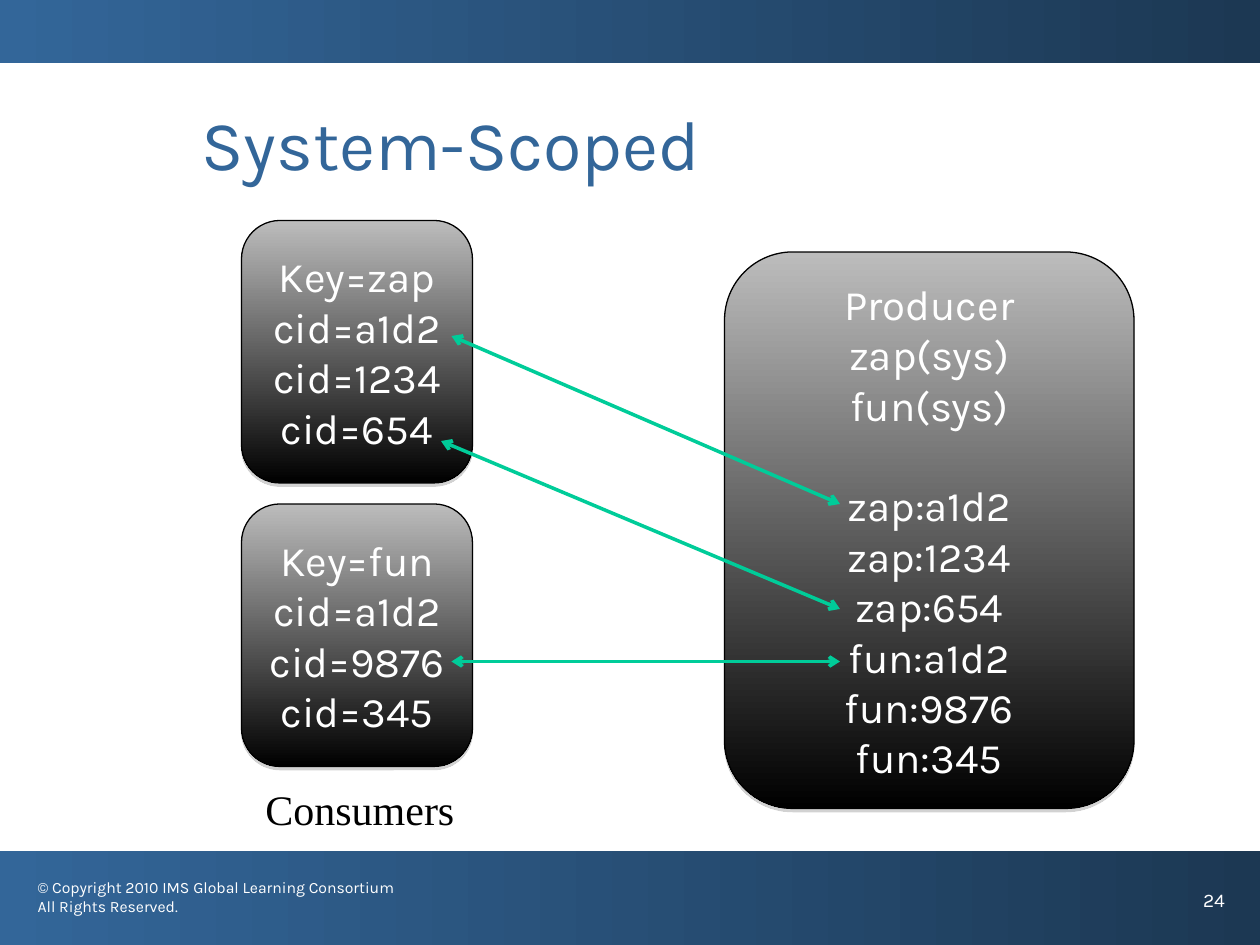
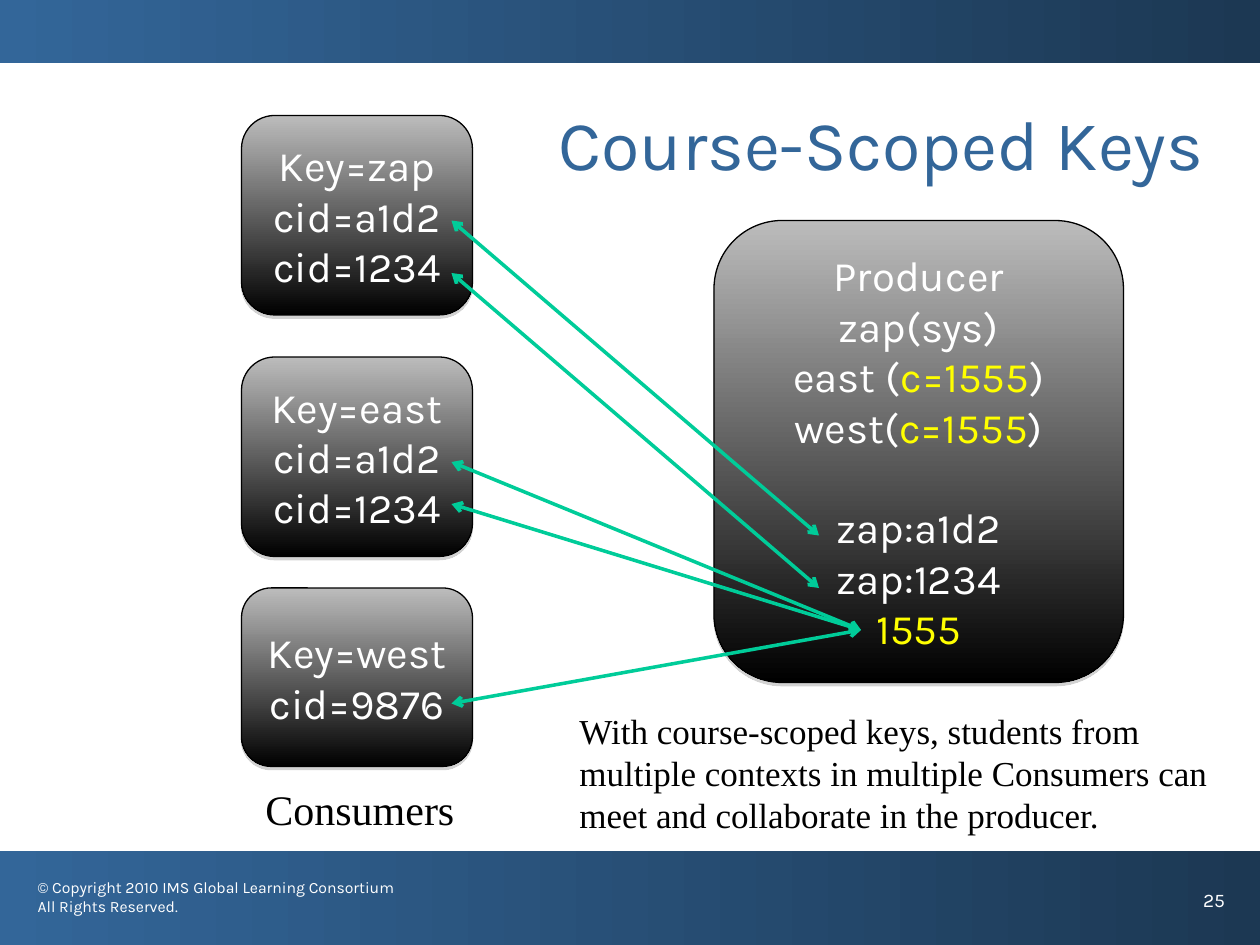
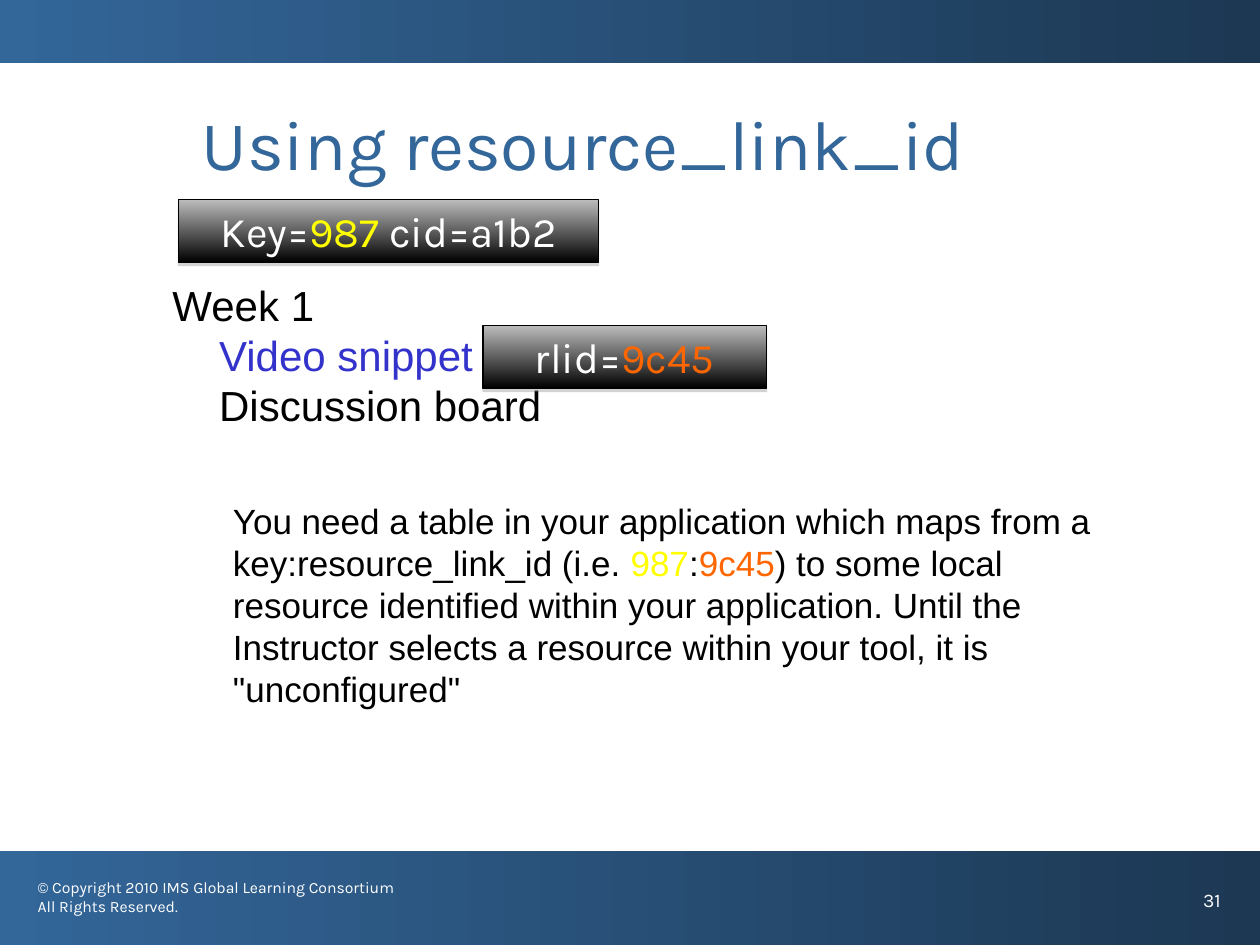
from dataclasses import dataclass

from lxml.etree import SubElement
from pptx import Presentation
from pptx.dml.color import RGBColor
from pptx.enum.shapes import MSO_CONNECTOR as Connector, MSO_SHAPE as Shape
from pptx.enum.text import MSO_ANCHOR as Anchor, MSO_AUTO_SIZE as AutoSize, PP_ALIGN as Align
from pptx.oxml.ns import qn
from pptx.util import Inches, Pt

COLUMNS, ROWS = 120, 90


@dataclass(frozen=True)
class Theme:
    heading: str = "Karla"
    serif: str = "Times New Roman"
    sans: str = "Arial"
    title_size: float = 40
    label_size: float = 24
    note_size: float = 20
    page_size: float = 11
    legal_size: float = 9
    line_gap: float = 28.8
    blue: str = "336699"
    navy: str = "1C3853"
    silver: str = "BCBCBC"
    shadow: str = "808080"
    black: str = "000000"
    white: str = "FFFFFF"
    green: str = "00CC99"
    yellow: str = "FFFF00"
    orange: str = "FF6600"
    link: str = "3333CC"


THEME = Theme()


class Deck:
    def __init__(self, theme):
        self.theme = theme
        self.prs = Presentation()
        self.prs.slide_width, self.prs.slide_height = Inches(10), Inches(7.5)
        self.slide = None

    def place(self, column, row, *size):
        unit_x, unit_y = self.prs.slide_width / COLUMNS, self.prs.slide_height / ROWS
        lengths = zip((column, row, *size), (unit_x, unit_y) * 2)
        return [round(count * unit) for count, unit in lengths]

    def fill_text(self, frame, lines, size, font, color, align=Align.LEFT):
        for index, line in enumerate(lines):
            paragraph = frame.paragraphs[0] if index == 0 else frame.add_paragraph()
            paragraph.alignment = align
            paragraph.font.size = Pt(size)
            paragraph.font.name = font
            paragraph.font.color.rgb = RGBColor.from_string(color)
            for part in [line] if isinstance(line, str) else line:
                words, accent = (part, None) if isinstance(part, str) else part
                run = paragraph.add_run()
                run.text = words
                if accent:
                    run.font.color.rgb = RGBColor.from_string(accent)
        return frame.paragraphs

    def gradient(self, shape, colors, angle):
        shape.fill.gradient()
        shape.fill.gradient_angle = angle
        for stop, color in zip(shape.fill.gradient_stops, colors):
            stop.color.rgb = RGBColor.from_string(color)

    def band(self, row, height):
        strip = self.slide.shapes.add_shape(Shape.RECTANGLE, *self.place(0, row, COLUMNS, height))
        strip.shadow.inherit = False
        strip.line.fill.background()
        self.gradient(strip, (self.theme.navy, self.theme.blue), 180)

    def text(self, area, lines, size, font, color=THEME.black, wrap=True):
        frame = self.slide.shapes.add_textbox(*self.place(*area)).text_frame
        frame.word_wrap = wrap
        return self.fill_text(frame, lines, size, font, color)

    def start(self, title, page, area=(18, 9, 99, 14)):
        theme = self.theme
        self.slide = self.prs.slides.add_slide(self.prs.slide_layouts.get_by_name("Title Only"))
        self.band(81.1, 8.9)
        self.band(0, 6)
        legal = ["© Copyright 2010 IMS Global Learning Consortium", "All Rights Reserved."]
        self.text((2.4, 83, 37.6, 6), legal, theme.legal_size, theme.heading, theme.white)
        self.text((113.4, 84, 6.6, 6), [str(page)], theme.page_size, theme.heading, theme.white)
        heading = self.slide.shapes.title
        heading.left, heading.top, heading.width, heading.height = self.place(*area)
        frame = heading.text_frame
        frame.auto_size = AutoSize.NONE
        frame.vertical_anchor = Anchor.TOP
        self.fill_text(frame, [title], theme.title_size, theme.heading, theme.blue)

    def card(self, area, lines, outline=Shape.ROUNDED_RECTANGLE, gap_before=None):
        theme = self.theme
        card = self.slide.shapes.add_shape(outline, *self.place(*area))
        self.gradient(card, (theme.silver, theme.black), 270)
        card.line.color.rgb = RGBColor.from_string(theme.black)
        card.line.width = Pt(0.75)
        card.shadow.inherit = False
        effects = card._element.spPr.find(qn("a:effectLst"))
        shadow = SubElement(effects, qn("a:outerShdw"), blurRad="0", dist=str(Pt(1.8)),
                            dir="5400000", algn="ctr", rotWithShape="0")
        tone = SubElement(shadow, qn("a:srgbClr"), val=theme.shadow)
        SubElement(tone, qn("a:alpha"), val="35000")
        frame = card.text_frame
        frame.word_wrap = True
        frame.vertical_anchor = Anchor.MIDDLE
        rows = self.fill_text(frame, lines, theme.label_size, theme.heading, theme.white,
                              Align.CENTER)
        if gap_before:
            rows[gap_before].space_before = Pt(theme.line_gap)

    def arrow(self, start, end):
        link = self.slide.shapes.add_connector(
            Connector.STRAIGHT, *self.place(*start), *self.place(*end))
        link.line.color.rgb = RGBColor.from_string(self.theme.green)
        link.line.width = Pt(2)
        stroke = link._element.spPr.find(qn("a:ln"))
        for tip in ("a:headEnd", "a:tailEnd"):
            SubElement(stroke, qn(tip), type="arrow")
        SubElement(link._element.spPr, qn("a:effectLst"))

    def consumers(self, cards):
        for row, height, lines in cards:
            self.card((23, row, 22, height), lines)
        self.text((24.1, 74, 20.4, 6), ["Consumers"], self.theme.label_size, self.theme.serif,
                  wrap=False)


def system_scoped(deck):
    deck.start("System-Scoped", 24)
    deck.consumers([
        (21, 25, ["Key=zap", "cid=a1d2", "cid=1234", "cid=654"]),
        (48, 25, ["Key=fun", "cid=a1d2", "cid=9876", "cid=345"]),
    ])
    deck.card((69, 24, 39, 53), [
        "Producer", "zap(sys)", "fun(sys)",
        "zap:a1d2", "zap:1234", "zap:654", "fun:a1d2", "fun:9876", "fun:345",
    ], gap_before=3)
    for start, end_row in (((42, 42), 58), ((43, 32), 48), ((43, 63), 63)):
        deck.arrow(start, (80, end_row))


def course_scoped(deck):
    theme = deck.theme
    course = ("c=1555", theme.yellow)
    deck.start("Course-Scoped Keys", 25, (52, 9, 66, 14))
    deck.consumers([
        (11, 19, ["Key=zap", "cid=a1d2", "cid=1234"]),
        (34, 19, ["Key=east", "cid=a1d2", "cid=1234"]),
        (56, 17, ["Key=west", "cid=9876"]),
    ])
    deck.card((68, 21, 39, 44), [
        "Producer", "zap(sys)", ["east (", course, ")"], ["west(", course, ")"],
        "zap:a1d2", "zap:1234", [("1555", theme.yellow)],
    ], gap_before=4)
    shared_course = (82, 60)
    for row, end in ((21, (78, 51)), (26, (78, 56)), (44, shared_course),
                     (48, shared_course), (67, shared_course)):
        deck.arrow((43, row), end)
    deck.text((54, 67, 63, 13.2), [
        "With course-scoped keys, students from multiple contexts in multiple Consumers "
        "can meet and collaborate in the producer."], theme.note_size, theme.serif)


def resource_link(deck):
    theme = deck.theme
    key, resource = ("987", theme.yellow), ("9c45", theme.orange)
    deck.start("Using resource_link_id", 31)
    outline = deck.text((15.25, 26, 37.5, 15.6), [
        "Week 1", [("Video snippet", theme.link)], "Discussion board",
    ], theme.label_size, theme.sans, wrap=False)
    for activity in outline[1:]:
        activity._p.get_or_add_pPr().set("marL", str(Inches(0.37)))
    deck.card((17, 19, 40, 6), [["Key=", key, " cid=a1b2"]], Shape.RECTANGLE)
    deck.card((46, 31, 27, 6), [["rlid=", resource]], Shape.RECTANGLE)
    deck.text((21, 47, 87, 21.2), [[
        "You need a table in your application which maps from a key:resource_link_id (i.e. ",
        key, ":", resource,
        ") to some local resource identified within your application. Until the Instructor "
        "selects a resource within your tool, it is \"unconfigured\"",
    ]], theme.note_size, theme.sans)


def main():
    deck = Deck(THEME)
    for build in (system_scoped, course_scoped, resource_link):
        build(deck)
    deck.prs.save("out.pptx")


if __name__ == "__main__":
    main()
